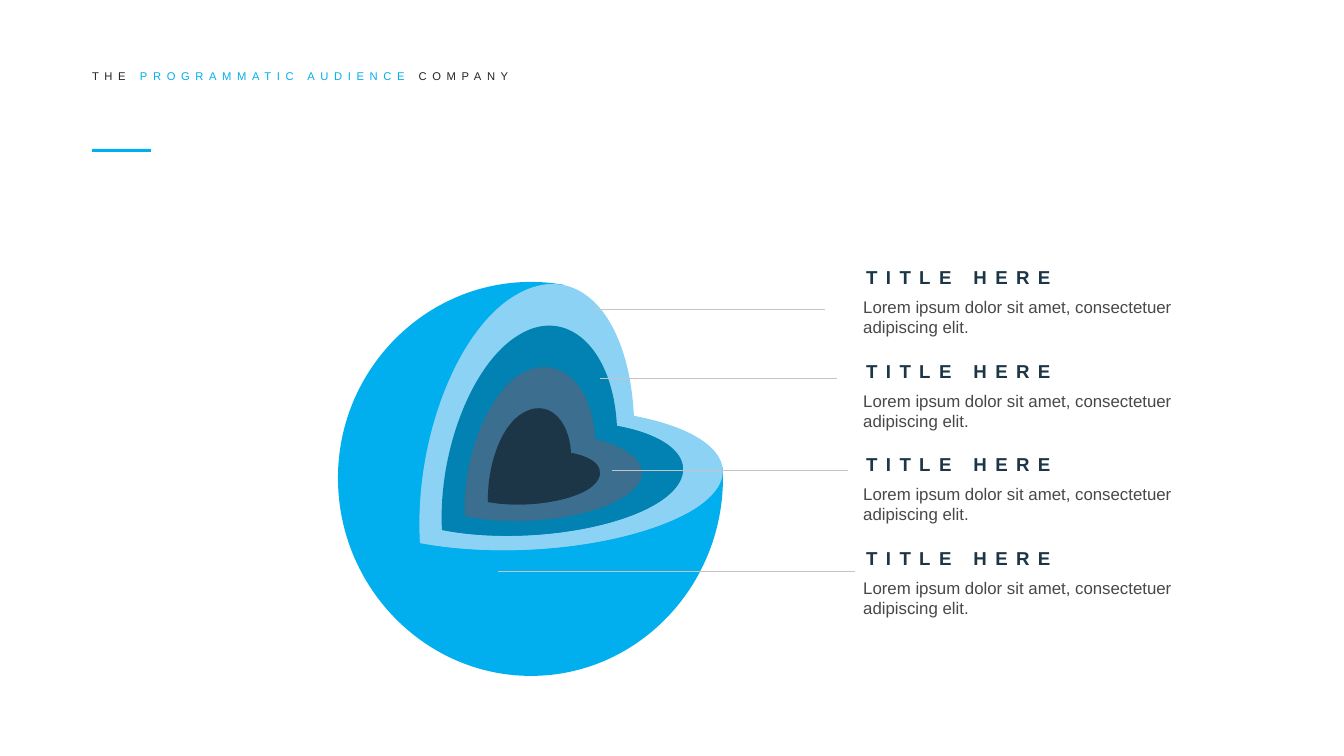
from dataclasses import dataclass

from lxml.etree import SubElement
from pptx import Presentation
from pptx.dml.color import RGBColor
from pptx.enum.shapes import MSO_CONNECTOR, MSO_SHAPE
from pptx.enum.text import MSO_ANCHOR, MSO_AUTO_SIZE, PP_ALIGN
from pptx.oxml.ns import qn
from pptx.util import Emu, Pt


@dataclass(frozen=True)
class Theme:
    font: str = "Arial"
    accent: str = "01AEEE"
    header: str = "242424"
    title: str = "1D3647"
    body: str = "484848"
    leader: str = "C5C3C3"
    header_size: int = 6
    title_size: int = 10
    body_size: int = 9
    header_spacing: int = 3
    title_spacing: float = 4.5


THEME = Theme()
EMU_PER_PX = 914400 / 134.4

HEADER = [
    ("THE ", THEME.header),
    ("PROGRAMMATIC AUDIENCE ", THEME.accent),
    ("COMPANY", THEME.header),
]
ITEMS = [("TITLE HERE", "Lorem ipsum dolor sit amet, consectetuer adipiscing elit.")] * 4

# Leader lines: left, right, y
LEADERS = [(590, 825, 310), (600, 837, 379), (612, 848, 471), (498, 855, 572)]

# An outline is a start point, then corners (one point) or curves (three points)
SPHERE = ((723, 468), [
    [(600, 400)],
    [(564, 285)],
    [(553, 283), (542, 282), (531, 282)],
    [(425, 282), (338, 370), (338, 478)],
    [(338, 587), (425, 676), (531, 676)],
    [(637, 676), (723, 587), (723, 478)],
])

# Each shell: colour, notch, then curves to the top, the corner, the right and the notch
SHELLS = [
    ("8BD2F4", (634, 416), [
        [(629, 314), (577, 259), (516, 295)],
        [(457, 329), (414, 441), (420, 543)],
        [(511, 560), (630, 546), (691, 511)],
        [(750, 476), (724, 433), (634, 416)]]),
    ("0182B2", (617, 426), [
        [(613, 347), (566, 306), (519, 335)],
        [(473, 362), (438, 450), (442, 530)],
        [(513, 544), (609, 532), (656, 504)],
        [(703, 476), (688, 439), (617, 426)]]),
    ("3B6E8F", (595, 439), [
        [(593, 382), (556, 353), (521, 374)],
        [(488, 394), (462, 458), (465, 516)],
        [(517, 527), (587, 519), (622, 498)],
        [(656, 478), (646, 452), (595, 439)]]),
    ("1D3647", (571, 453), [
        [(569, 417), (546, 399), (523, 413)],
        [(501, 425), (487, 466), (488, 502)],
        [(521, 508), (564, 503), (587, 490)],
        [(608, 477), (604, 459), (571, 453)]]),
]

TITLE_TOP, LAST_TITLE_TOP = 259, 540
TITLE_LEFT, TITLE_WIDTH, TITLE_HEIGHT = 853, 222, 36
BODY_LEFT, BODY_WIDTH, BODY_HEIGHT = 850, 382, 54
BODY_OFFSET = 31


def px(value):
    return Emu(round(value * EMU_PER_PX))


def box(*lengths):
    return [px(length) for length in lengths]


def paint(shape, color):
    shape.fill.solid()
    shape.fill.fore_color.rgb = RGBColor.from_string(color)
    shape.line.fill.background()
    shape.shadow.inherit = False


def add_outline(slide, start, segments, color):
    """Draw straight lines through all points, then join each curve's three into a Bézier."""
    builder = slide.shapes.build_freeform(*box(*start))
    builder.add_line_segments([box(*point) for segment in segments for point in segment])
    shape = builder.convert_to_shape()
    lines = iter(list(shape._element.iter(qn("a:lnTo"))))
    for segment in segments:
        parts = [next(lines) for _ in segment]
        if len(parts) == 3:
            first, *others = parts
            curve = SubElement(first.getparent(), qn("a:cubicBezTo"))
            first.addprevious(curve)
            for part in parts:
                curve.append(part[0])
                part.getparent().remove(part)
    paint(shape, color)


def add_leader(slide, left, right, y):
    leader = slide.shapes.add_connector(MSO_CONNECTOR.STRAIGHT, *box(left, y, right, y))
    leader.line.color.rgb = RGBColor.from_string(THEME.leader)
    leader.line.width = Pt(0.5)
    SubElement(leader._element.spPr, qn("a:effectLst"))


def add_run(paragraph, text, color, size, bold=False, spacing=0):
    run = paragraph.add_run()
    run.text = text
    for name, value in {"name": THEME.font, "size": Pt(size), "bold": bold}.items():
        setattr(run.font, name, value)
    run.font.color.rgb = RGBColor.from_string(color)
    if spacing:
        run._r.get_or_add_rPr().set("spc", str(round(spacing * 100)))


def add_text(slide, bounds, wrap, *run_format):
    frame = slide.shapes.add_textbox(*box(*bounds)).text_frame
    frame.word_wrap = wrap
    frame.auto_size = MSO_AUTO_SIZE.SHAPE_TO_FIT_TEXT
    add_run(frame.paragraphs[0], *run_format)


def add_header(slide):
    title = slide.shapes.title
    for name, value in zip(("left", "top", "width", "height"), box(92, 69, 964, 14)):
        setattr(title, name, value)
    frame = title.text_frame
    frame_format = {
        "margin_left": 0, "margin_top": 0, "margin_right": 0, "margin_bottom": 0,
        "word_wrap": True, "auto_size": MSO_AUTO_SIZE.NONE,
        "vertical_anchor": MSO_ANCHOR.MIDDLE,
    }
    for name, value in frame_format.items():
        setattr(frame, name, value)
    paragraph = frame.paragraphs[0]
    paragraph.alignment = PP_ALIGN.LEFT
    for text, color in HEADER:
        add_run(paragraph, text, color, THEME.header_size, spacing=THEME.header_spacing)


def main():
    presentation = Presentation()
    presentation.slide_width, presentation.slide_height = box(1344, 756)
    slide = presentation.slides.add_slide(presentation.slide_layouts[5])

    add_header(slide)
    paint(slide.shapes.add_shape(MSO_SHAPE.RECTANGLE, *box(92, 149, 59, 3)), THEME.accent)

    add_outline(slide, *SPHERE, THEME.accent)
    for color, notch, curves in SHELLS:
        corner = curves[1][-1]
        add_outline(slide, notch, curves, color)
        add_outline(slide, corner, curves[2:], color)  # lower cut face

    for leader in LEADERS:
        add_leader(slide, *leader)

    step = (LAST_TITLE_TOP - TITLE_TOP) / (len(ITEMS) - 1)
    for index, (title, body) in enumerate(ITEMS):
        top = round(TITLE_TOP + index * step)
        add_text(slide, (BODY_LEFT, top + BODY_OFFSET, BODY_WIDTH, BODY_HEIGHT), True,
                 body, THEME.body, THEME.body_size)
        add_text(slide, (TITLE_LEFT, top, TITLE_WIDTH, TITLE_HEIGHT), False,
                 title, THEME.title, THEME.title_size, True, THEME.title_spacing)

    presentation.save("out.pptx")


if __name__ == "__main__":
    main()
